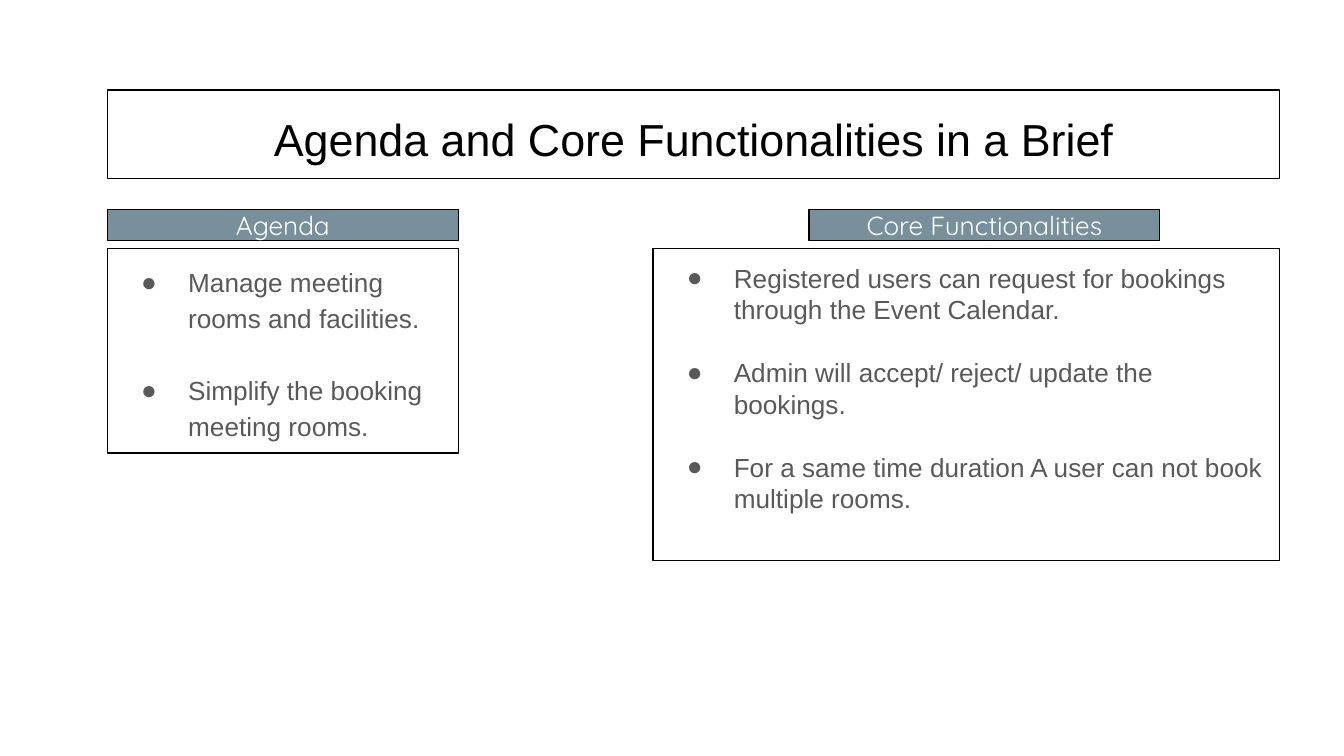
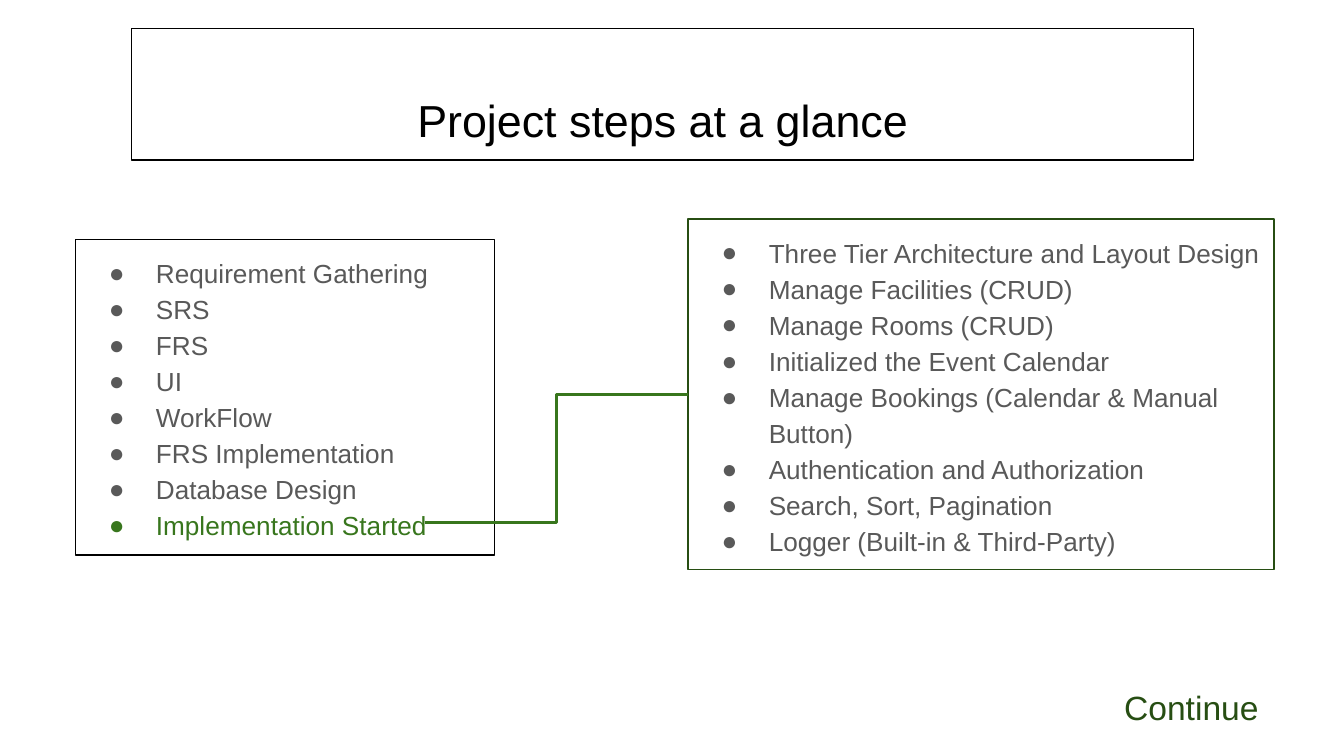
from lxml import etree
from pptx import Presentation, util as u
from pptx.dml.color import RGBColor
from pptx.enum import shapes, text
from pptx.oxml.ns import qn

SLIDE_W, SLIDE_H = u.Inches(10), u.Inches(5.625)
CELL = SLIDE_W / 100  # square grid, 100 columns wide
TWO_CONTENT = 3
FONT, HEADING_FONT = "Arial", "Quicksand"
COLORS = {
    "ink": "000000",
    "body": "595959",
    "paper": "FFFFFF",
    "heading": "78909C",
    "active": "38761D",
    "next": "274E13",
}

AGENDA = [
    "Manage meeting rooms and facilities.",
    "Simplify the booking meeting rooms.",
]
FUNCTIONALITIES = [
    "Registered users can request for bookings through the Event Calendar.",
    "Admin will accept/ reject/ update the bookings.",
    "For a same time duration A user can not book multiple rooms.",
]
STEPS = [
    "Requirement Gathering",
    "SRS",
    "FRS",
    "UI",
    "WorkFlow",
    "FRS Implementation",
    "Database Design",
    "Implementation Started",
]
IMPLEMENTATION = [
    "Three Tier Architecture and Layout Design",
    "Manage Facilities (CRUD)",
    "Manage Rooms (CRUD)",
    "Initialized the Event Calendar",
    "Manage Bookings (Calendar & Manual Button)",
    "Authentication and Authorization",
    "Search, Sort, Pagination",
    "Logger (Built-in & Third-Party)",
]


def rgb(color):
    return RGBColor.from_string(COLORS[color])


def grid(*cells):
    return [u.Emu(round(cell * CELL)) for cell in cells]


def place(shape, area):
    shape.left, shape.top, shape.width, shape.height = grid(*area)


def outline(shape, color="ink", points=0.75):
    shape.line.color.rgb = rgb(color)
    shape.line.width = u.Pt(points)


def prepare_frame(shape, anchor):
    frame = shape.text_frame
    frame.word_wrap = True
    frame.auto_size = text.MSO_AUTO_SIZE.NONE
    frame.vertical_anchor = anchor
    frame.margin_left = frame.margin_right = u.Inches(0.1)
    frame.margin_top = frame.margin_bottom = u.Inches(0.1)
    return frame


def add_run(paragraph, words, size, color, font=FONT):
    run = paragraph.add_run()
    run.text = words
    run.font.size = u.Pt(size)
    run.font.name = font
    run.font.color.rgb = rgb(color)


def write_centered(shape, words, size, color, anchor, font=FONT):
    paragraph = prepare_frame(shape, anchor).paragraphs[0]
    paragraph.alignment = text.PP_ALIGN.CENTER
    add_run(paragraph, words, size, color, font)


def add_bullet(paragraph, color):
    props = paragraph._p.get_or_add_pPr()
    props.set("marL", str(u.Inches(0.5)))
    props.set("indent", str(u.Inches(-0.35)))
    bullet_color = etree.SubElement(props, qn("a:buClr"))
    etree.SubElement(bullet_color, qn("a:srgbClr"), val=COLORS[color])
    etree.SubElement(props, qn("a:buFont"), typeface=FONT)
    etree.SubElement(props, qn("a:buChar"), char="●")


def fill_list(body, area, items, spacing=1.15, gap=0, border="ink", active=None):
    """Format a body placeholder as a framed list; gap is in points."""
    place(body, area)
    outline(body, border)
    frame = prepare_frame(body, text.MSO_ANCHOR.TOP)
    for index, item in enumerate(items):
        paragraph = frame.add_paragraph() if index else frame.paragraphs[0]
        color = "active" if item == active else "body"
        add_bullet(paragraph, color)
        paragraph.alignment = text.PP_ALIGN.LEFT
        paragraph.line_spacing = spacing
        paragraph.space_before = u.Pt(gap if index else 0)
        add_run(paragraph, item, 14, color)


def add_titled_slide(deck, title, area):
    slide = deck.slides.add_slide(deck.slide_layouts[TWO_CONTENT])
    heading = slide.shapes.title
    place(heading, area)
    outline(heading)
    write_centered(heading, title, 24, "ink", text.MSO_ANCHOR.BOTTOM)
    return slide


def add_heading(slide, words, left):
    band = slide.shapes.add_shape(
        shapes.MSO_SHAPE.RECTANGLE, *grid(left, 15.6, 26.1, 2.3))
    band.shadow.inherit = False
    band.fill.solid()
    band.fill.fore_color.rgb = rgb("heading")
    outline(band)
    write_centered(band, words, 14, "paper", text.MSO_ANCHOR.MIDDLE, HEADING_FONT)


def add_label(slide, words, area):
    label = slide.shapes.add_textbox(*grid(*area))
    write_centered(label, words, 18, "next", text.MSO_ANCHOR.TOP)


def add_elbow(slide, start, target):
    """Lead from a grid point to the middle of the target's left side."""
    x, y = grid(*start)
    elbow = slide.shapes.add_connector(
        shapes.MSO_CONNECTOR.ELBOW, x, y,
        target.left, target.top + target.height // 2)
    elbow.end_connect(target, 1)
    outline(elbow, "active", 1.5)
    etree.SubElement(elbow._element.spPr, qn("a:effectLst"))


def build_agenda(deck):
    slide = add_titled_slide(
        deck, "Agenda and Core Functionalities in a Brief", (8, 6.7, 87.2, 6.6))
    agenda, functionalities = list(slide.placeholders)[1:]
    fill_list(agenda, (8, 18.5, 26.1, 15.2), AGENDA, gap=19)
    fill_list(functionalities, (48.6, 18.5, 46.6, 23.2), FUNCTIONALITIES,
              spacing=1.0, gap=17)
    add_heading(slide, "Agenda", 8)
    add_heading(slide, "Core Functionalities", 60.2)


def build_steps(deck):
    slide = add_titled_slide(
        deck, "Project steps at a glance", (9.8, 2.1, 79, 9.8))
    steps, implementation = list(slide.placeholders)[1:]
    fill_list(steps, (5.6, 17.8, 31.2, 23.5), STEPS, active=STEPS[-1])
    fill_list(implementation, (51.2, 16.3, 43.6, 26.1), IMPLEMENTATION,
              border="next")
    add_label(slide, "Continue", (80, 50.1, 17.3, 5))
    add_elbow(slide, (31.6, 38.9), implementation)


def main():
    deck = Presentation()
    deck.slide_width, deck.slide_height = SLIDE_W, SLIDE_H
    build_agenda(deck)
    build_steps(deck)
    deck.save("out.pptx")


if __name__ == "__main__":
    main()
